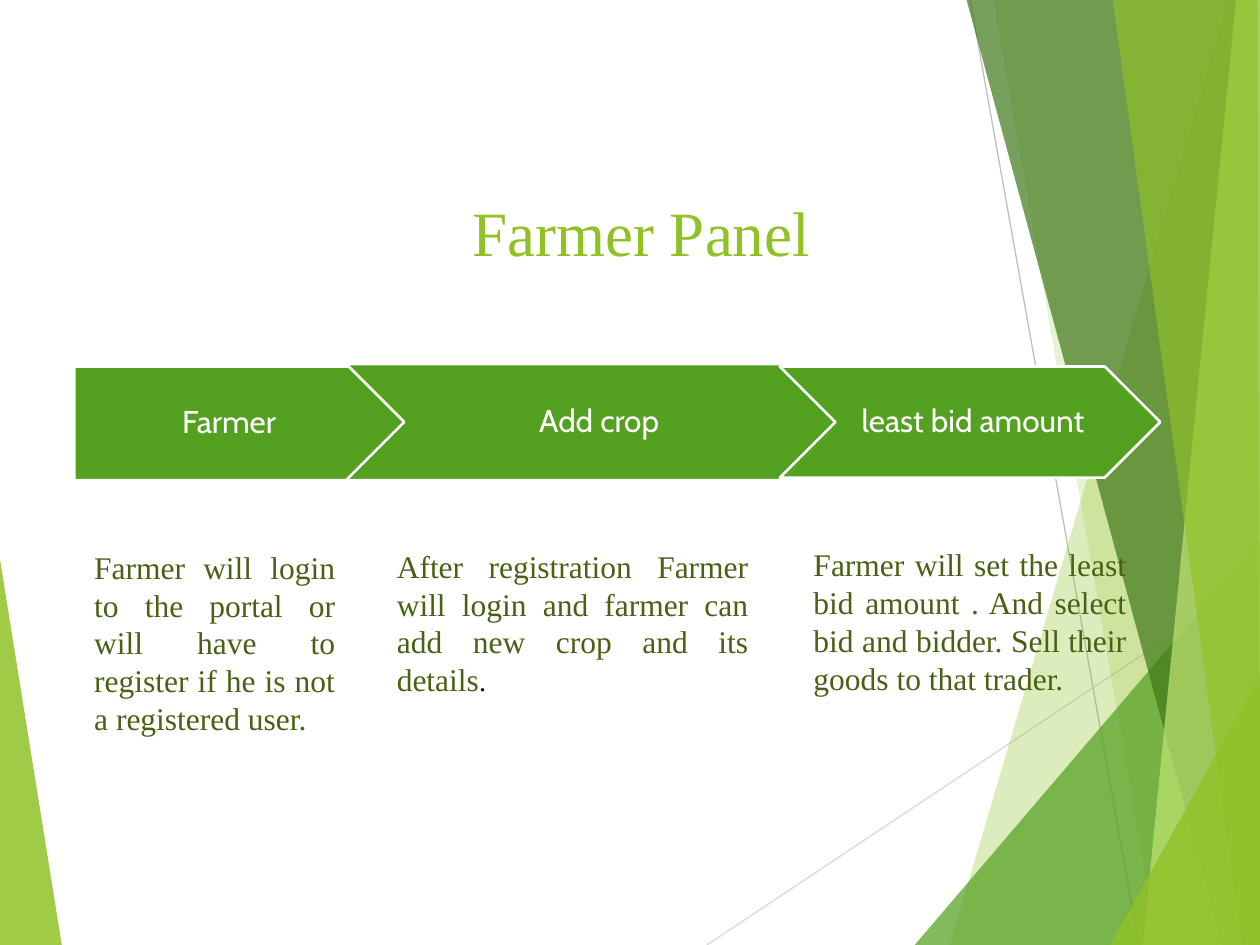
from dataclasses import dataclass

from pptx import Presentation
from pptx.dml.color import RGBColor
from pptx.enum.shapes import MSO_CONNECTOR, MSO_SHAPE
from pptx.enum.text import MSO_ANCHOR, MSO_AUTO_SIZE, PP_ALIGN
from pptx.oxml.ns import qn
from pptx.util import Cm, Pt
from lxml.etree import SubElement


@dataclass
class Theme:
    lime: str = "90C226"
    pale: str = "C0E474"
    green: str = "54A021"
    dark: str = "3F7819"
    olive: str = "486113"
    white: str = "FFFFFF"
    black: str = "000000"
    light_gray: str = "D9D9D9"
    gray: str = "BFBFBF"
    serif: str = "Times New Roman"
    sans: str = "Cabin"
    title: int = 36
    body: int = 18
    stop: int = 16


class Deck:
    def __init__(self, theme, width, height):
        self.theme = theme
        self.prs = Presentation()
        self.prs.slide_width, self.prs.slide_height = Cm(width), Cm(height)
        self.s = self.prs.slides.add_slide(self.prs.slide_layouts[6])

    def paint(self, sp, color):
        sp.shadow.inherit = False
        sp.fill.solid()
        sp.fill.fore_color.rgb = RGBColor.from_string(color)

    def facet(self, points, color, opacity):
        corners = [(Cm(x), Cm(y)) for x, y in points]
        fb = self.s.shapes.build_freeform(*corners[0])
        fb.add_line_segments(corners[1:], close=True)
        sp = fb.convert_to_shape()
        self.paint(sp, color)
        sp.line.fill.background()
        clr = sp.fill._xPr.find(qn("a:solidFill"))[0]
        SubElement(clr, qn("a:alpha")).set("val", str(opacity * 1000))

    def line(self, start, end, color):
        cx = self.s.shapes.add_connector(
            MSO_CONNECTOR.STRAIGHT, *(Cm(v) for v in start + end))
        cx.line.color.rgb = RGBColor.from_string(color)
        cx.line.width = Pt(0.75)
        SubElement(cx._element.spPr, qn("a:effectLst"))

    def text(self, box, runs, align, indent=0, spacing=None, **frame):
        """Add a text box; runs are (text, font, size, color)."""
        tf = self.s.shapes.add_textbox(*(Cm(v) for v in box)).text_frame
        for name, value in {"word_wrap": True, **frame}.items():
            setattr(tf, name, value)
        p = tf.paragraphs[0]
        p.alignment = align
        if spacing:
            p.line_spacing = spacing
        if indent:
            p._p.get_or_add_pPr().set("marL", str(Cm(indent)))
        for words, font, size, color in runs:
            r = p.add_run()
            r.text = words
            for name, value in {"name": font, "size": Pt(size)}.items():
                setattr(r.font, name, value)
            r.font.color.rgb = RGBColor.from_string(color)

    def step(self, kind, box, label):
        """Add an arrow with its label between notch and tip."""
        t = self.theme
        sp = self.s.shapes.add_shape(kind, *(Cm(v) for v in box))
        self.paint(sp, t.green)
        sp.line.color.rgb = RGBColor.from_string(t.white)
        sp.line.width = Pt(1.5)
        x, y, w, h = box
        if kind == MSO_SHAPE.CHEVRON:
            area, left = (x + h / 2, y, w - h, h), 0.2
        else:
            area, left = (x, y, w - h / 4, h), 0.25
        self.text(area, [(label, t.sans, t.body, t.white)], PP_ALIGN.CENTER,
                  spacing=0.9, vertical_anchor=MSO_ANCHOR.MIDDLE,
                  margin_left=Cm(left), margin_right=Cm(0.08))

    def body(self, box, words, indent=0, stop=""):
        t = self.theme
        runs = [(words, t.serif, t.body, t.olive)]
        if stop:
            runs.append((stop, t.serif, t.stop, t.black))
        self.text(box, runs, PP_ALIGN.JUSTIFY, indent,
                  auto_size=MSO_AUTO_SIZE.SHAPE_TO_FIT_TEXT)


def main():
    t = Theme()
    w, h = 25.4, 19.05
    top, edge = -0.02, 25.42
    deck = Deck(t, w, h)

    # Background facets and hairlines
    deck.facet([(-0.02, 11.15), (1.25, 19.07), (-0.02, h)], t.lime, 85)
    deck.line((14.25, h), (edge, 11.61), t.light_gray)
    deck.line((19.56, 0), (22.96, h), t.gray)
    facets = [
        ([(24.76, 0), (19.15, h), (25.45, 19.07), (edge, 0.02)], t.lime, 30),
        ([(20.02, top), (23.34, h), (edge, h), (edge, top)], t.lime, 20),
        ([(18.44, h), (w, 10.9), (edge, h)], t.green, 72),
        ([(19.48, top), (24.64, h), (edge, h), (edge, top)], t.dark, 70),
        ([(24.92, top), (23.04, h), (edge, h), (w, top)], t.pale, 70),
        ([(22.43, top), (25.04, h), (w, h), (25.35, top)], t.lime, 65),
        ([(22.38, h), (edge, 13.59), (edge, h)], t.lime, 80),
    ]
    for facet in facets:
        deck.facet(*facet)

    # Title
    deck.text((1.5, 2.13, 22.86, 4.8),
              [("Farmer Panel", t.serif, t.title, t.lime)],
              PP_ALIGN.CENTER, margin_top=Cm(1.78))

    # Process arrows
    deck.step(MSO_SHAPE.PENTAGON, (1.5, 7.39, 6.78, 2.29), "Farmer ")
    deck.step(MSO_SHAPE.CHEVRON, (6.98, 7.34, 10.08, 2.34), "Add crop")
    deck.step(MSO_SHAPE.CHEVRON, (15.72, 7.39, 7.67, 2.24),
              "least bid amount")

    # Explanations under the arrows
    deck.body((0.38, 10.92, 6.63, 4.11),
              "Farmer will login to the portal or will have to register "
              "if he is not a registered user.", indent=1.27)
    deck.body((7.75, 10.9, 7.59, 4.11),
              "After registration Farmer will login and farmer can add "
              "new crop and its details", stop=".")
    deck.body((16.15, 10.87, 6.81, 3.33),
              "Farmer will set the least bid amount . And select bid and "
              "bidder. Sell their goods to that trader.")

    deck.prs.save("out.pptx")


if __name__ == "__main__":
    main()
